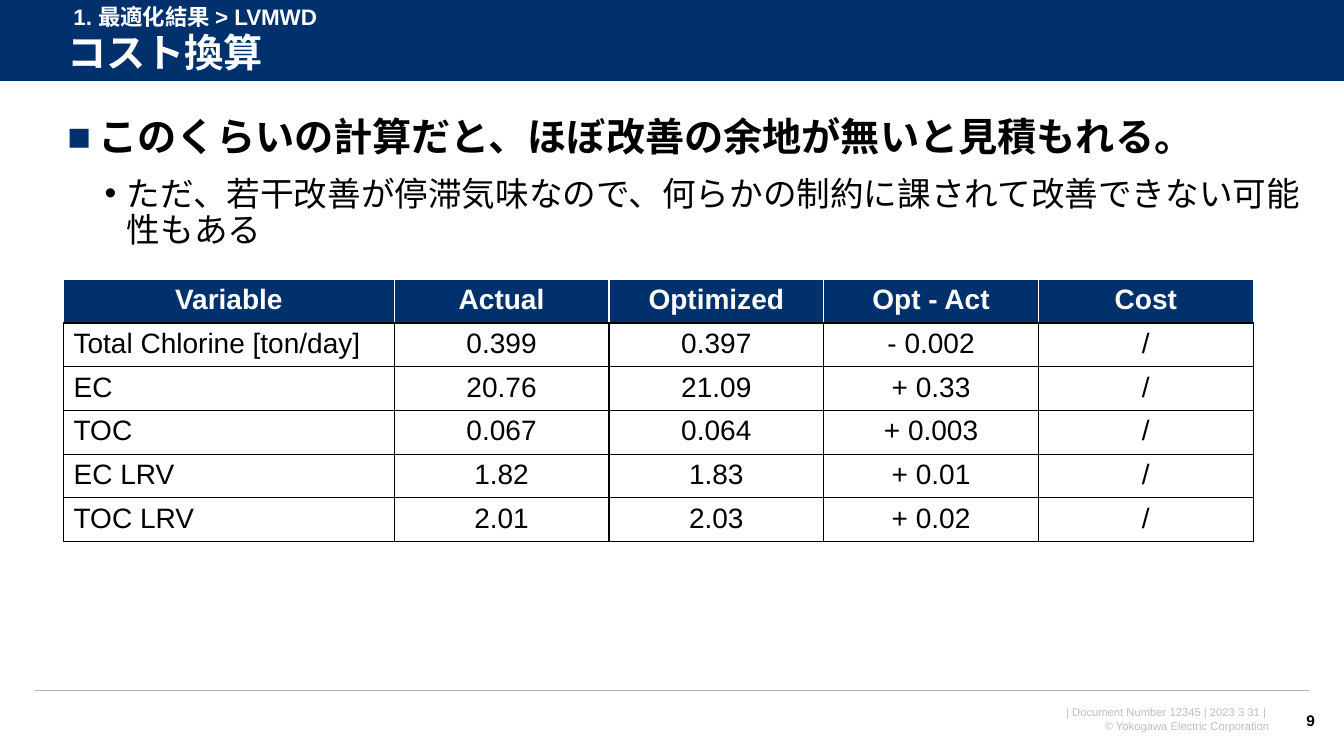
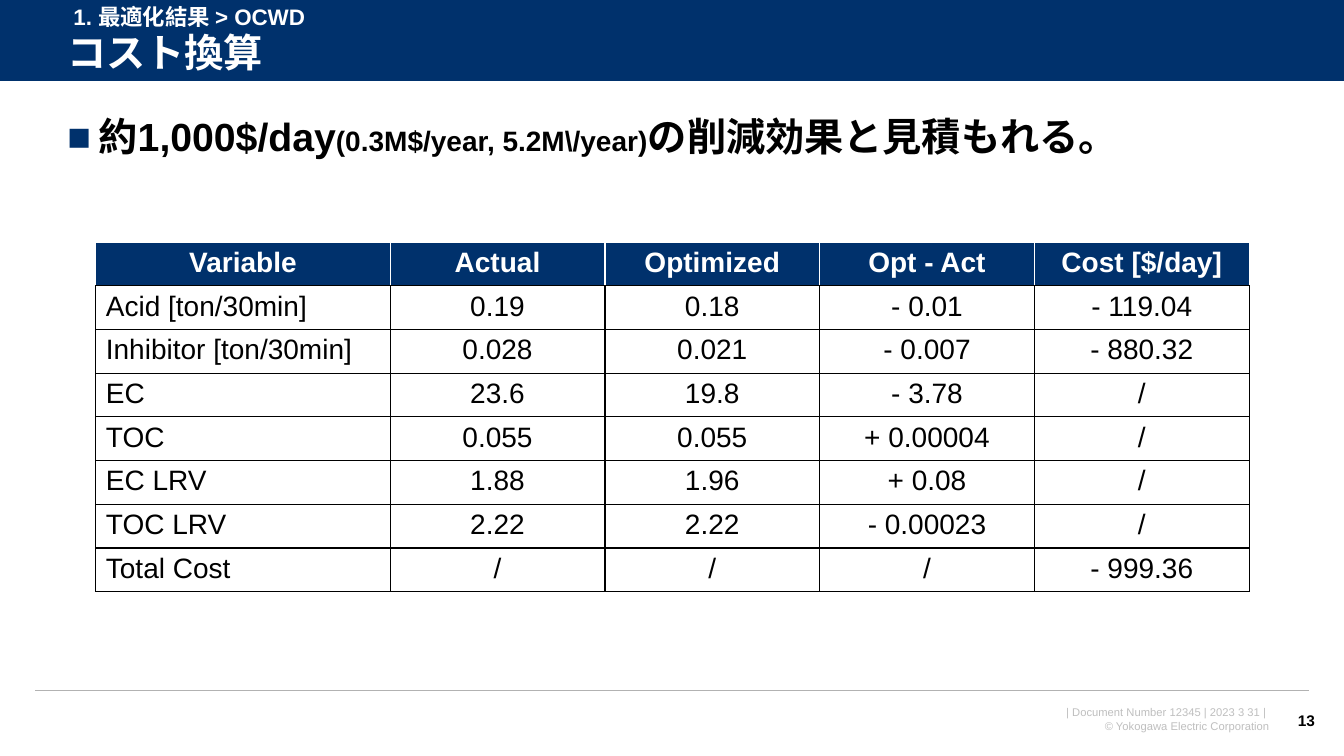
from lxml.etree import SubElement
from pptx import Presentation
from pptx.dml.color import RGBColor
from pptx.enum.shapes import MSO_CONNECTOR, MSO_SHAPE
from pptx.enum.text import MSO_ANCHOR, PP_ALIGN
from pptx.oxml import parse_xml
from pptx.oxml.ns import nsdecls, qn
from pptx.util import Inches, Pt

NAVY, WHITE, BLACK = "00316C", "FFFFFF", "000000"
RULE_GRAY, FOOTER_GRAY = "B2B2B2", "BFBFBF"
FONT = "Arial"
SLIDE_WIDTH = 13.33
BODY_TOP = 1.12
VALUE_WIDTH, ROW_HEIGHT = 2.13, 0.43
color = RGBColor.from_string

# Level: bullet, bullet colour, left margin, hanging indent, space before
BULLETS = [("■", NAVY, 0.31, 0.31, 0), ("•", BLACK, 0.59, 0.22, 12)]

PAGES = [
    {
        "number": "9",
        "trail": "1. 最適化結果 > LVMWD",
        "body": [
            [("このくらいの計算だと、ほぼ改善の余地が無いと見積もれる。", 28, True)],
            [("ただ、若干改善が停滞気味なので、何らかの制約に課されて改善できない可能性もある", 24, False)],
        ],
        "table_at": (0.63, 2.77),
        "name_width": 3.28,
        "rows": [
            ("Variable", "Actual", "Optimized", "Opt - Act", "Cost"),
            ("Total Chlorine [ton/day]", "0.399", "0.397", "- 0.002", "/"),
            ("EC", "20.76", "21.09", "+ 0.33", "/"),
            ("TOC", "0.067", "0.064", "+ 0.003", "/"),
            ("EC LRV", "1.82", "1.83", "+ 0.01", "/"),
            ("TOC LRV", "2.01", "2.03", "+ 0.02", "/"),
        ],
    },
    {
        "number": "13",
        "trail": "1. 最適化結果 > OCWD",
        "body": [
            [
                ("約1,000$/day", 28, True),
                ("(0.3M$/year, 5.2M\\/year)", 20, True),
                ("の削減効果と見積もれる。", 28, True),
            ],
        ],
        "table_at": (0.95, 2.4),
        "name_width": 2.92,
        "rows": [
            ("Variable", "Actual", "Optimized", "Opt - Act", "Cost [$/day]"),
            ("Acid [ton/30min]", "0.19", "0.18", "- 0.01", "- 119.04"),
            ("Inhibitor [ton/30min]", "0.028", "0.021", "- 0.007", "- 880.32"),
            ("EC", "23.6", "19.8", "- 3.78", "/"),
            ("TOC", "0.055", "0.055", "+ 0.00004", "/"),
            ("EC LRV", "1.88", "1.96", "+ 0.08", "/"),
            ("TOC LRV", "2.22", "2.22", "- 0.00023", "/"),
            ("Total Cost", "/", "/", "/", "- 999.36"),
        ],
    },
]


def write(para, text, size, hex_color, bold=False, **para_format):
    """Append a formatted run and apply the paragraph settings."""
    for name, value in para_format.items():
        setattr(para, name, value)
    span = para.add_run()
    span.text = text
    span.font.color.rgb = color(hex_color)
    for name, value in {"name": FONT, "size": Pt(size), "bold": bold}.items():
        setattr(span.font, name, value)


def add_frame(page, left, top, width, height, anchor=MSO_ANCHOR.TOP):
    """Add a wrapping text box and return its text frame."""
    box = page.shapes.add_textbox(Inches(left), Inches(top), Inches(width), Inches(height))
    frame = box.text_frame
    frame.word_wrap = True
    frame.vertical_anchor = anchor
    return frame


deck = Presentation()
deck.slide_width, deck.slide_height = Inches(SLIDE_WIDTH), Inches(7.5)

for content in PAGES:
    page = deck.slides.add_slide(deck.slide_layouts[6])

    # Footer, title band and rules
    footer = add_frame(page, 9.48, 6.95, 3.21, 0.37)
    footer_format = {"size": 8, "hex_color": FOOTER_GRAY, "alignment": PP_ALIGN.RIGHT}
    write(footer.paragraphs[0], "| Document Number 12345 | 2023 3 31 | ", **footer_format)
    write(footer.add_paragraph(), "© Yokogawa Electric Corporation", **footer_format)

    band = page.shapes.add_shape(MSO_SHAPE.RECTANGLE, 0, 0, Inches(SLIDE_WIDTH), Inches(0.81))
    band.shadow.inherit = False
    band.fill.solid()
    band.fill.fore_color.rgb = color(NAVY)
    band.line.fill.background()

    for start, end, top, hex_color, weight in [
        (0, SLIDE_WIDTH, 0.81, WHITE, 0.75),
        (0.35, 12.98, 6.85, RULE_GRAY, 1),
    ]:
        rule = page.shapes.add_connector(
            MSO_CONNECTOR.STRAIGHT, Inches(start), Inches(top), Inches(end), Inches(top))
        rule.line.color.rgb = color(hex_color)
        rule.line.width = Pt(weight)
        SubElement(rule._element.spPr, qn("a:effectLst"))

    # Title, page number and section trail
    title = add_frame(page, 0.57, 0.26, 12.47, 0.57, MSO_ANCHOR.MIDDLE)
    write(title.paragraphs[0], "コスト換算", 28, WHITE, True, line_spacing=0.9)
    number = add_frame(page, 12.7, 6.95, 0.44, 0.4, MSO_ANCHOR.MIDDLE)
    write(number.paragraphs[0], content["number"], 11, BLACK, True, alignment=PP_ALIGN.RIGHT)
    trail = add_frame(page, 0.63, -0.02, 4.03, 0.37)
    write(trail.paragraphs[0], content["trail"], 16, WHITE, True)

    # Bulleted message
    table_left, table_top = content["table_at"]
    body = add_frame(page, 0.57, BODY_TOP, 12.57, table_top - BODY_TOP - 0.1)
    for level, spans in enumerate(content["body"]):
        para = body.add_paragraph() if level else body.paragraphs[0]
        mark, mark_color, margin, hanging, space = BULLETS[level]
        properties = para._p.get_or_add_pPr()
        properties.set("marL", str(Inches(margin)))
        properties.set("indent", str(-Inches(hanging)))
        bullet_color = SubElement(properties, qn("a:buClr"))
        SubElement(bullet_color, qn("a:srgbClr"), val=mark_color)
        SubElement(properties, qn("a:buFont"), typeface=FONT)
        SubElement(properties, qn("a:buChar"), char=mark)
        para.level = level
        para.line_spacing = 0.9
        para.space_before = Pt(space)
        for text, size, bold in spans:
            write(para, text, size, BLACK, bold)

    # Cost table
    rows = content["rows"]
    widths = [content["name_width"]] + [VALUE_WIDTH] * (len(rows[0]) - 1)
    table = page.shapes.add_table(
        len(rows), len(widths), Inches(table_left), Inches(table_top),
        Inches(sum(widths)), Inches(ROW_HEIGHT * len(rows))).table
    table.horz_banding = False
    for column, width in zip(table.columns, widths):
        column.width = Inches(width)
    for row_index, values in enumerate(rows):
        table.rows[row_index].height = Inches(ROW_HEIGHT)
        header = row_index == 0
        for column_index, value in enumerate(values):
            cell = table.cell(row_index, column_index)
            for side in "LRTB":
                edge = WHITE if header and side != "B" else BLACK
                cell._tc.get_or_add_tcPr().append(parse_xml(
                    f'<a:ln{side} {nsdecls("a")} w="{Pt(1)}"><a:solidFill>'
                    f'<a:srgbClr val="{edge}"/></a:solidFill></a:ln{side}>'))
            cell.fill.solid()
            cell.fill.fore_color.rgb = color(NAVY if header else WHITE)
            centred = header or column_index > 0
            write(cell.text_frame.paragraphs[0], value, 20, WHITE if header else BLACK, header,
                  alignment=PP_ALIGN.CENTER if centred else PP_ALIGN.LEFT)

deck.save("out.pptx")
